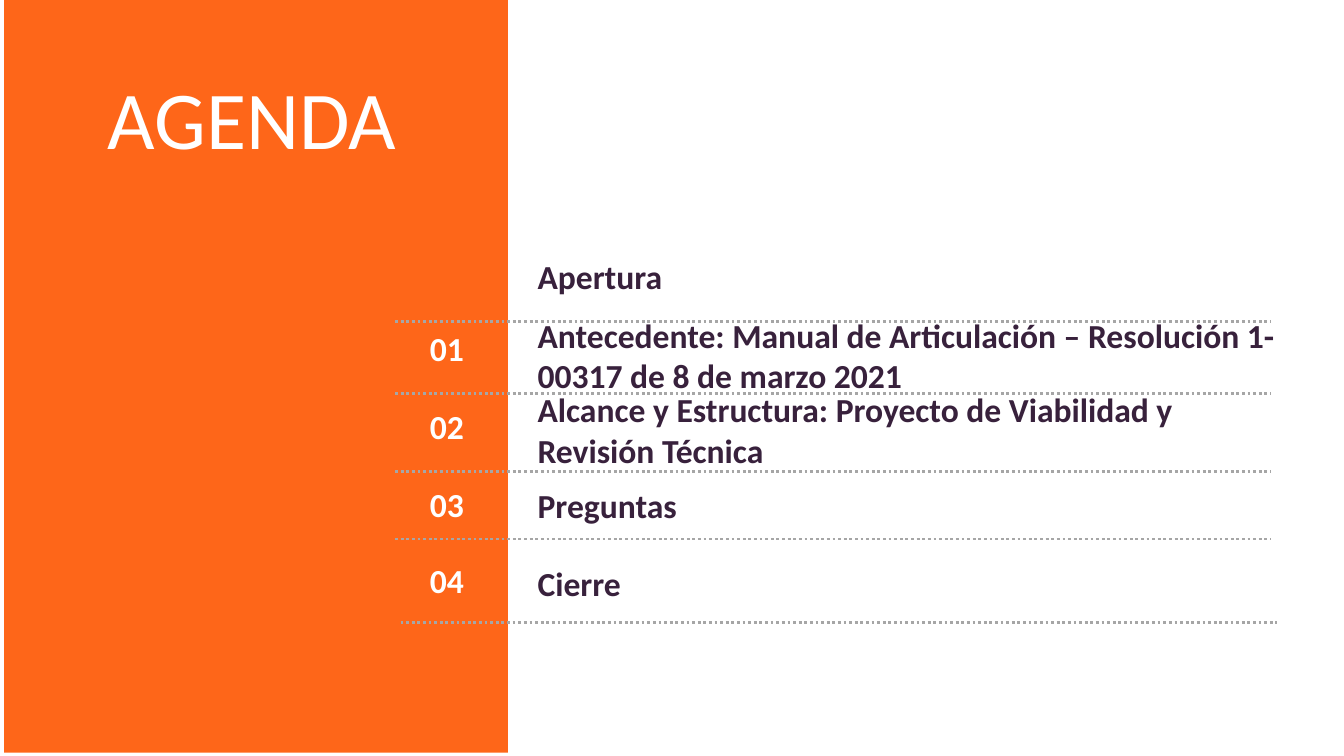
from lxml.etree import SubElement
from pptx import Presentation
from pptx.dml.color import RGBColor
from pptx.enum.dml import MSO_LINE
from pptx.enum.shapes import MSO_CONNECTOR, MSO_SHAPE
from pptx.enum.text import MSO_ANCHOR, MSO_AUTO_SIZE, PP_ALIGN
from pptx.oxml.ns import qn
from pptx.util import Inches, Pt


def color(value):
    return RGBColor.from_string(value)


def write(frame, text, size=18, ink="38213C", bold=True, align=PP_ALIGN.LEFT,
          anchor=MSO_ANCHOR.MIDDLE, insets=(0, 0.05, 0.1, 0.05)):
    frame.word_wrap = True
    frame.auto_size = MSO_AUTO_SIZE.NONE
    frame.vertical_anchor = anchor
    frame.margin_left, frame.margin_top, frame.margin_right, frame.margin_bottom = map(Inches, insets)
    paragraph = frame.paragraphs[0]
    paragraph.alignment = align
    run = paragraph.add_run()
    run.text = text
    run.font.name = "Calibri"
    run.font.size = Pt(size)
    run.font.bold = bold
    run.font.color.rgb = color(ink)


class AgendaSlide:
    orange = "FE6619"
    white = "FFFFFF"
    gray = "A6A6A6"

    def __init__(self, deck):
        self.slide = deck.slides.add_slide(deck.slide_layouts[5])
        self.shapes = self.slide.shapes

    def panel(self, left, top, width, height):
        band = self.shapes.add_shape(MSO_SHAPE.RECTANGLE, *map(Inches, (left, top, width, height)))
        band.shadow.inherit = False
        band.fill.solid()
        band.fill.fore_color.rgb = color(self.orange)
        band.line.fill.background()
        heading = self.shapes.title._element
        heading.addprevious(band._element)

    def title(self, text, left, top, width, height):
        heading = self.shapes.title
        heading.left, heading.top, heading.width, heading.height = map(Inches, (left, top, width, height))
        write(heading.text_frame, text, size=44, ink=self.white, bold=False,
              align=PP_ALIGN.CENTER, anchor=MSO_ANCHOR.TOP, insets=(0, 0, 0, 0))

    def label(self, text, left, top, width, height, **style):
        box = self.shapes.add_textbox(*map(Inches, (left, top, width, height)))
        write(box.text_frame, text, **style)

    def number(self, text, top):
        self.label(text, 2.33, top, 1.22, 0.4, ink=self.white,
                   align=PP_ALIGN.RIGHT, insets=(0.1, 0.05, 0.1, 0.05))

    def divider(self, left, top, width=6.52):
        rule = self.shapes.add_connector(
            MSO_CONNECTOR.STRAIGHT, *map(Inches, (left, top, left + width, top)))
        rule.line.color.rgb = color(self.gray)
        rule.line.width = Pt(1.5)
        rule.line.dash_style = MSO_LINE.ROUND_DOT
        SubElement(rule._element.spPr, qn("a:effectLst"))


def main():
    deck = Presentation()
    deck.slide_width, deck.slide_height = Inches(10), Inches(10 * 9 / 16)

    agenda = AgendaSlide(deck)
    agenda.panel(0.03, -0.02, 3.75, 5.62)
    agenda.title("AGENDA", 0.26, 0.5, 3.23, 0.74)

    topics = [
        ("Apertura", 1.86, 4.32, 0.39),
        ("Antecedente: Manual de Articulación – Resolución 1-00317 de 8 de marzo 2021", 2.4, 5.61, 0.48),
        ("Alcance y Estructura: Proyecto de Viabilidad y Revisión Técnica", 3, 5.33, 0.39),
        ("Preguntas", 3.56, 4.32, 0.39),
        ("Cierre", 4.14, 4.32, 0.39),
    ]
    for topic, top, width, height in topics:
        agenda.label(topic, 4, top, width, height)

    for position, top in enumerate([2.39, 2.97, 3.55, 4.12], start=1):
        agenda.number(f"{position:02}", top)

    for left, top in [(2.94, 2.39), (2.94, 2.93), (2.94, 3.51), (2.94, 4.01), (2.98, 4.63)]:
        agenda.divider(left, top)

    deck.save("out.pptx")


if __name__ == "__main__":
    main()
